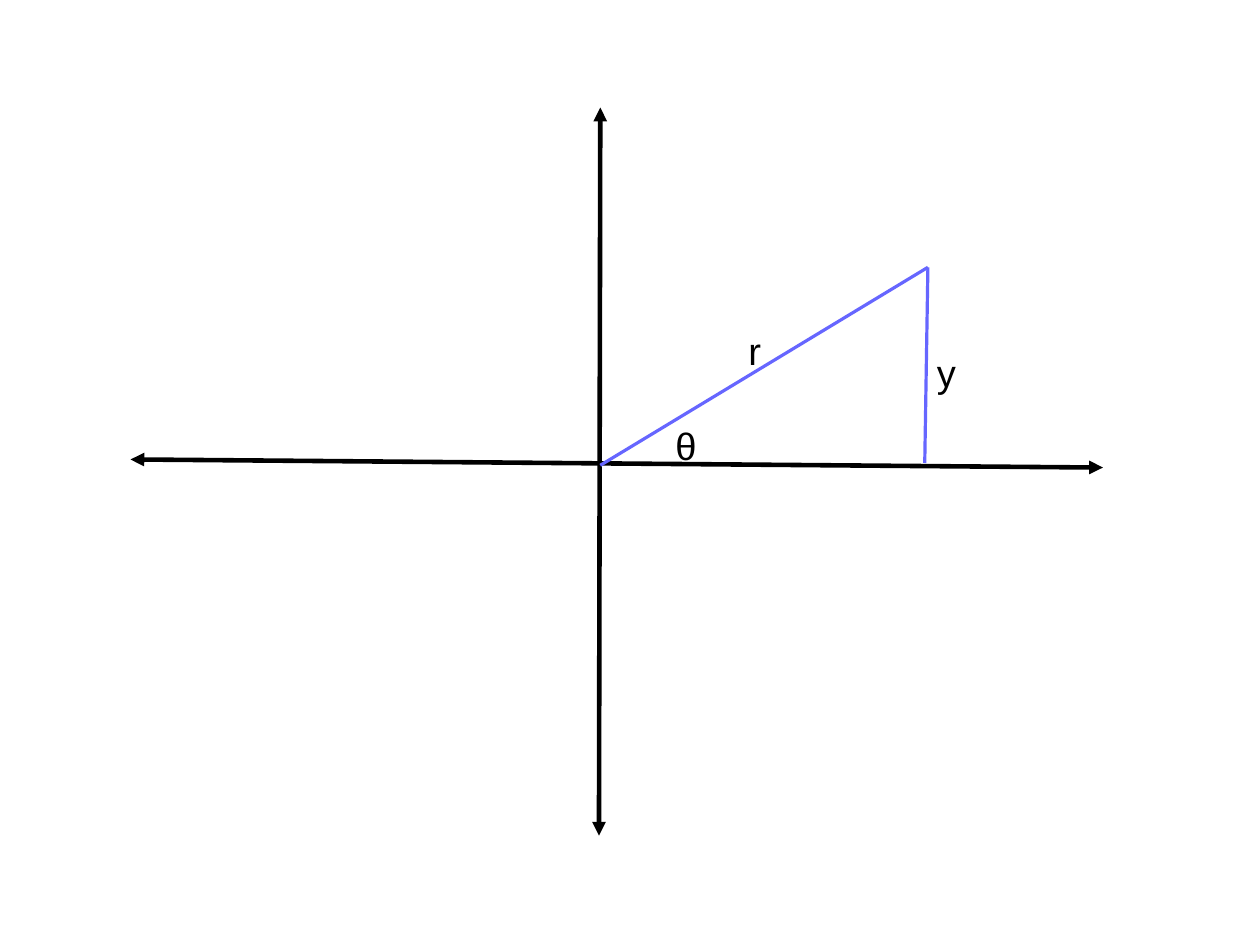
import pptx
import pptx.dml.color
import pptx.enum.shapes
import pptx.enum.text
import pptx.oxml.ns
import pptx.util
from lxml import etree

Cm, Pt = pptx.util.Cm, pptx.util.Pt

# Content: points and sizes in cm, line widths in points
ORIGIN = (13.34, 10.34)
APEX = (20.62, 5.94)
FOOT = (20.55, 10.29)
AXES = [((2.9, 10.21), (24.51, 10.39)), ((13.31, 18.57), (13.34, 2.39))]
SIDES = [(ORIGIN, APEX), (FOOT, APEX)]
AXIS_STYLE = ("000000", 2.89)
SIDE_STYLE = ("6666FF", 0)
# Text, left, top, width
LABELS = [("θ", 14.76, 9.27, 0.97), ("y", 20.57, 7.65, 0.91), ("r", 16.38, 7.16, 0.79)]
LABEL_HEIGHT = 1.19


def color(hex_code):
    return pptx.dml.color.RGBColor.from_string(hex_code)


def add_line(slide, start, end, style, arrows=False):
    line = slide.shapes.add_connector(
        pptx.enum.shapes.MSO_CONNECTOR.STRAIGHT, *map(Cm, start + end))
    hex_code, width = style
    line.line.color.rgb = color(hex_code)
    line.line.width = Pt(width)
    if arrows:
        outline = line.line._get_or_add_ln()
        for tag in ("a:headEnd", "a:tailEnd"):
            etree.SubElement(outline, pptx.oxml.ns.qn(tag), type="triangle")
    etree.SubElement(line._element.spPr, pptx.oxml.ns.qn("a:effectLst"))


def add_label(slide, text, left, top, width):
    label = slide.shapes.add_textbox(*map(Cm, (left, top, width, LABEL_HEIGHT)))
    frame = label.text_frame
    frame.text = text
    frame.word_wrap = False
    frame.auto_size = pptx.enum.text.MSO_AUTO_SIZE.SHAPE_TO_FIT_TEXT
    font = frame.paragraphs[0].runs[0].font
    font.name, font.size = "Arial", Pt(24)
    font.color.rgb = color("000000")


def main():
    deck = pptx.Presentation()
    deck.slide_width, deck.slide_height = Cm(28), Cm(21)
    slide = deck.slides.add_slide(deck.slide_layouts[6])

    # Coordinate axes
    for start, end in AXES:
        add_line(slide, start, end, AXIS_STYLE, arrows=True)

    # Triangle sides
    for start, end in SIDES:
        add_line(slide, start, end, SIDE_STYLE)

    # Angle and side labels
    for label in LABELS:
        add_label(slide, *label)

    deck.save("out.pptx")


if __name__ == "__main__":
    main()
